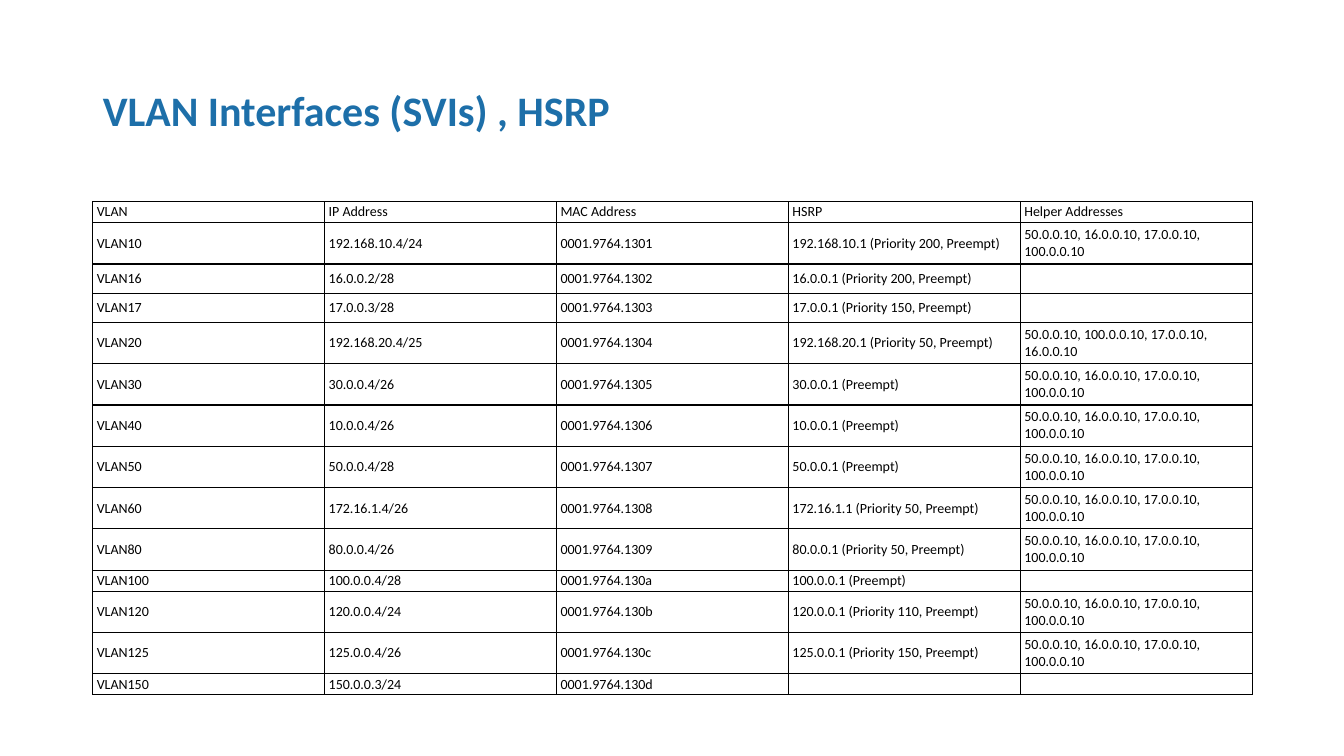
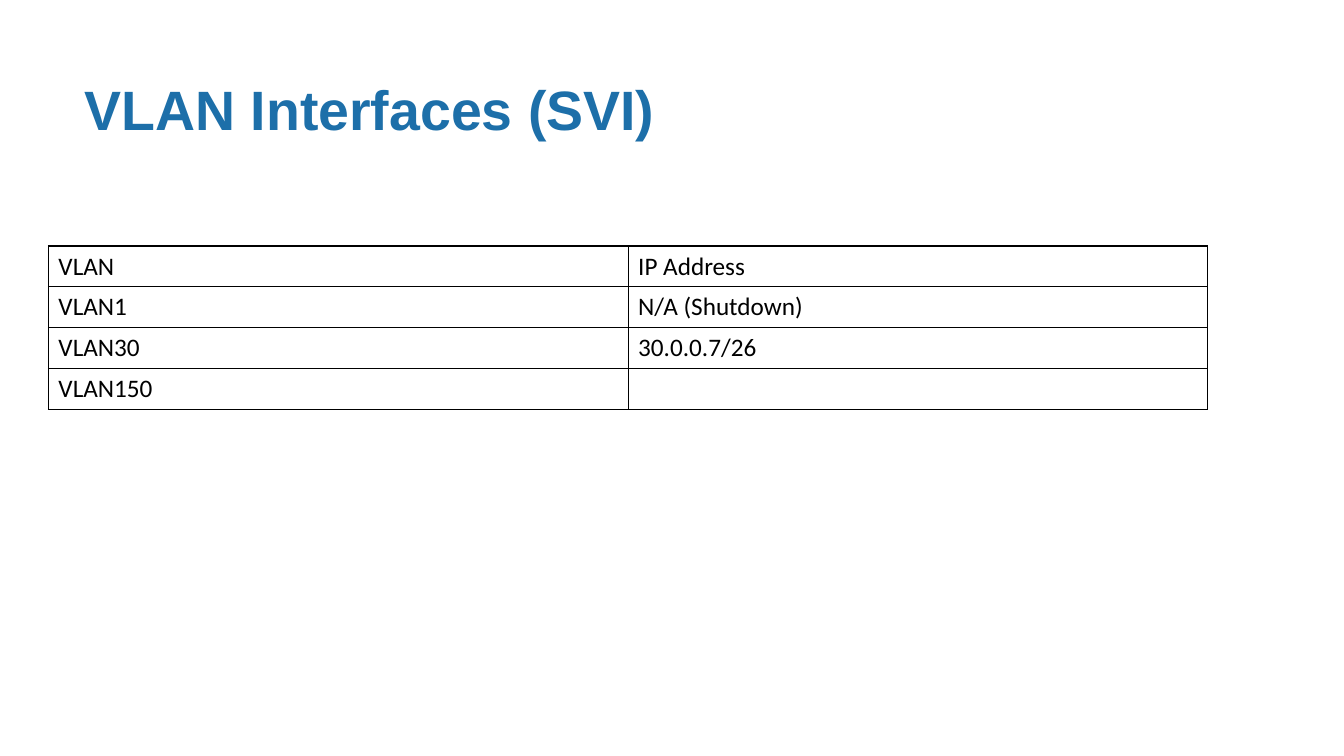
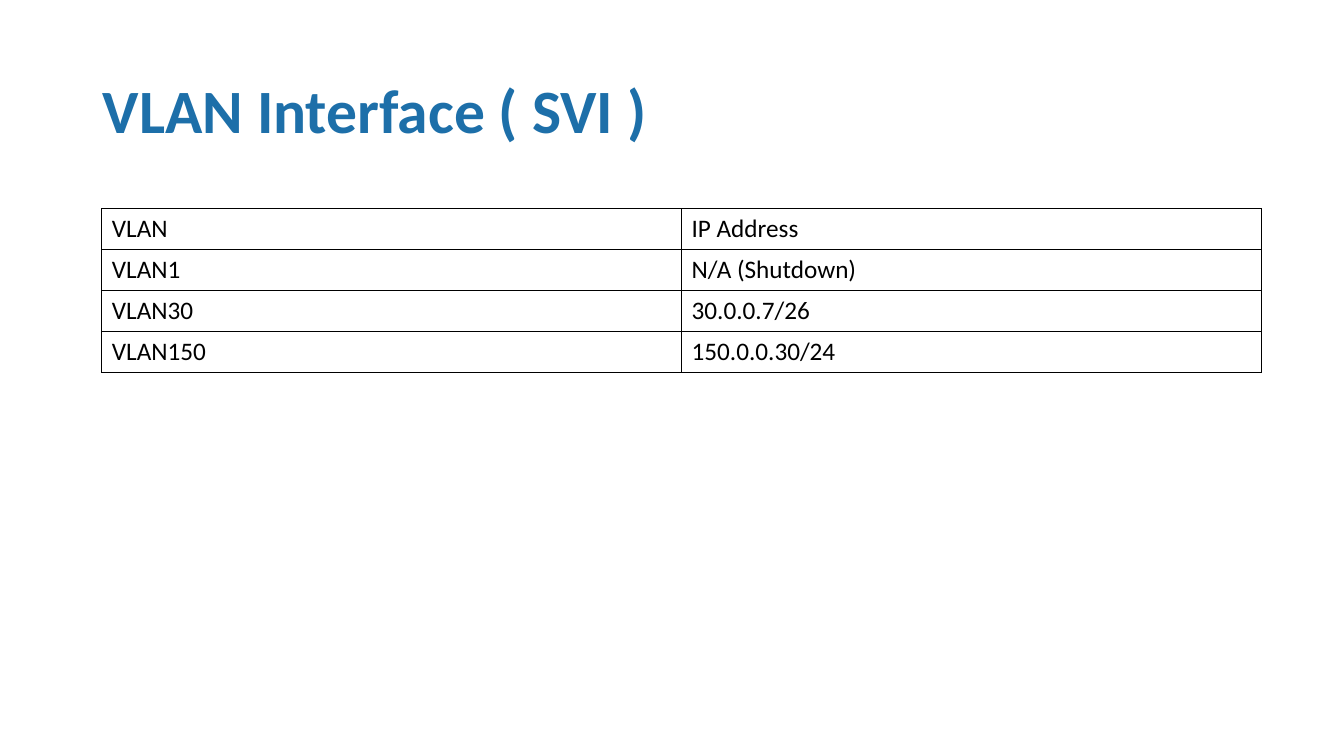
from dataclasses import dataclass

from lxml.etree import SubElement
from pptx import Presentation
from pptx.dml.color import RGBColor
from pptx.enum.text import MSO_ANCHOR, MSO_AUTO_SIZE, PP_ALIGN
from pptx.oxml import parse_xml
from pptx.oxml.ns import nsdecls, qn
from pptx.util import Inches, Pt


@dataclass(frozen=True)
class Theme:
    heading: str = "1D6FA9"
    ink: str = "000000"
    body_font: str = "Calibri"
    alternate_font: str = "Arial"
    small_title: float = 30
    alternate_title: float = 39.6
    large_title: float = 44
    dense_cell: float = 10
    roomy_cell: float = 18
    rule_width: int = 12700


theme = Theme()


def write_text(frame, text, *, size, font=theme.body_font, color=theme.ink, bold=False, spacing=1.0):
    paragraph = frame.paragraphs[0]
    paragraph.alignment = PP_ALIGN.LEFT
    paragraph.line_spacing = spacing
    if not text:
        SubElement(paragraph._p, qn("a:endParaRPr"), sz=str(int(size * 100)))
        return
    run = paragraph.add_run()
    run.text = text
    run.font.size = Pt(size)
    run.font.name = font
    run.font.bold = bold
    run.font.color.rgb = RGBColor.from_string(color)


def add_grid(slide, rows, *, left, top, heights, size, margins):
    width = 11.5
    column_count = len(rows[0])
    grid = slide.shapes.add_table(
        len(rows), column_count, Inches(left), Inches(top), Inches(width), Inches(sum(heights))
    ).table
    grid.first_row = False
    grid.horz_banding = False
    for column in grid.columns:
        column.width = Inches(width / column_count)
    for grid_row, height, entries in zip(grid.rows, heights, rows):
        grid_row.height = Inches(height)
        for cell, entry in zip(grid_row.cells, entries):
            cell.vertical_anchor = MSO_ANCHOR.MIDDLE
            cell.margin_left = cell.margin_right = Inches(margins[0])
            cell.margin_top = cell.margin_bottom = Inches(margins[1])
            cell.fill.background()
            write_text(cell.text_frame, entry, size=size)
            properties = cell._tc.get_or_add_tcPr()
            for position, side in enumerate(("lnL", "lnR", "lnT", "lnB")):
                properties.insert(position, parse_xml(
                    f'<a:{side} {nsdecls("a")} w="{theme.rule_width}"><a:solidFill>'
                    f'<a:srgbClr val="{theme.ink}"/></a:solidFill></a:{side}>'
                ))


helpers = "50.0.0.10, 16.0.0.10, 17.0.0.10, 100.0.0.10"
vlan_interfaces = [
    ("10", "192.168.10.4/24", "192.168.10.1 (Priority 200, Preempt)", helpers, 0.41),
    ("16", "16.0.0.2/28", "16.0.0.1 (Priority 200, Preempt)", "", 0.29),
    ("17", "17.0.0.3/28", "17.0.0.1 (Priority 150, Preempt)", "", 0.29),
    ("20", "192.168.20.4/25", "192.168.20.1 (Priority 50, Preempt)",
     "50.0.0.10, 100.0.0.10, 17.0.0.10, 16.0.0.10", 0.41),
    ("30", "30.0.0.4/26", "30.0.0.1 (Preempt)", helpers, 0.41),
    ("40", "10.0.0.4/26", "10.0.0.1 (Preempt)", helpers, 0.41),
    ("50", "50.0.0.4/28", "50.0.0.1 (Preempt)", helpers, 0.41),
    ("60", "172.16.1.4/26", "172.16.1.1 (Priority 50, Preempt)", helpers, 0.41),
    ("80", "80.0.0.4/26", "80.0.0.1 (Priority 50, Preempt)", helpers, 0.41),
    ("100", "100.0.0.4/28", "100.0.0.1 (Preempt)", "", 0.16),
    ("120", "120.0.0.4/24", "120.0.0.1 (Priority 110, Preempt)", helpers, 0.41),
    ("125", "125.0.0.4/26", "125.0.0.1 (Priority 150, Preempt)", helpers, 0.41),
    ("150", "150.0.0.3/24", "", "", 0.16),
]
hsrp_rows = [("VLAN", "IP Address", "MAC Address", "HSRP", "Helper Addresses")]
hsrp_heights = [0.16]
for number, (vlan, address, hsrp, helper, height) in enumerate(vlan_interfaces, start=1):
    hsrp_rows.append((f"VLAN{vlan}", address, f"0001.9764.13{number:02x}", hsrp, helper))
    hsrp_heights.append(height)

svi_rows = [("VLAN", "IP Address"), ("VLAN1", "N/A (Shutdown)"), ("VLAN30", "30.0.0.7/26")]
dense = dict(size=theme.dense_cell, margins=(0.04, 0.02), heights=hsrp_heights)
roomy = dict(size=theme.roomy_cell, margins=(0.1, 0.05), heights=[0.4] * 4)

pages = [
    ("VLAN Interfaces (SVIs) , HSRP", (0.92, 0.4),
     dict(size=theme.small_title, spacing=0.9),
     hsrp_rows, dict(left=0.92, top=2, **dense)),
    ("VLAN Interfaces (SVI)", (0.74, 0.35),
     dict(size=theme.alternate_title, font=theme.alternate_font),
     svi_rows + [("VLAN150", "")], dict(left=0.48, top=2.44, **roomy)),
    ("VLAN Interface ( SVI )", (0.92, 0.4),
     dict(size=theme.large_title, spacing=0.9),
     svi_rows + [("VLAN150", "150.0.0.30/24")], dict(left=1.01, top=2.07, **roomy)),
]

deck = Presentation()
deck.slide_width = Inches(13.33)
deck.slide_height = Inches(7.5)
title_only = deck.slide_layouts[5]

for heading, (left, top), heading_format, rows, grid_format in pages:
    slide = deck.slides.add_slide(title_only)
    title = slide.shapes.title
    title.left, title.top = Inches(left), Inches(top)
    title.width, title.height = Inches(11.5), Inches(1.45)
    title.text_frame.auto_size = MSO_AUTO_SIZE.NONE
    title.text_frame.vertical_anchor = MSO_ANCHOR.MIDDLE
    write_text(title.text_frame, heading, color=theme.heading, bold=True, **heading_format)
    add_grid(slide, rows, **grid_format)

deck.save("out.pptx")
